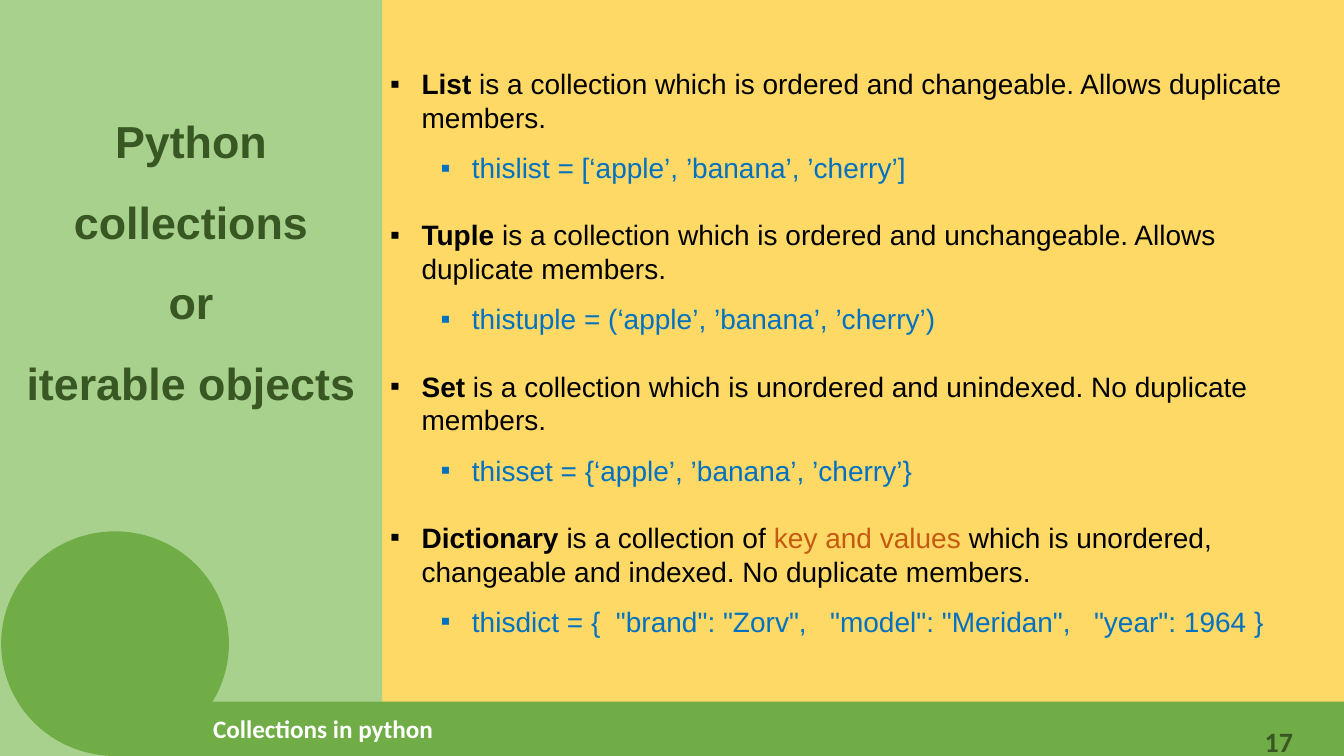
"""Build a slide that compares the four Python collection types."""
from lxml.etree import SubElement
from pptx import Presentation
from pptx.dml.color import RGBColor
from pptx.enum.shapes import MSO_SHAPE
from pptx.enum.text import MSO_ANCHOR, MSO_AUTO_SIZE, PP_ALIGN
from pptx.oxml.ns import qn
from pptx.util import Cm, Pt

HEADING = ["Python", "collections", "or", "iterable objects"]
COLLECTIONS = [
    ([("List", True, "000000"),
      (" is a collection which is ordered and changeable. Allows duplicate members.", False, "000000")],
     "thislist = [‘apple’, ’banana’, ’cherry’]"),
    ([("Tuple", True, "000000"),
      (" is a collection which is ordered and unchangeable. Allows duplicate members.", False, "000000")],
     "thistuple = (‘apple’, ’banana’, ’cherry’)"),
    ([("Set", True, "000000"),
      (" is a collection which is unordered and unindexed. No duplicate members.", False, "000000")],
     "thisset = {‘apple’, ’banana’, ’cherry’}"),
    ([("Dictionary", True, "000000"),
      (" is a collection of ", False, "000000"),
      ("key and values ", False, "C55A11"),
      ("which is unordered, changeable and indexed. No duplicate members.", False, "000000")],
     "thisdict = {  \"brand\": \"Zorv\",   \"model\": \"Meridan\",   \"year\": 1964 }"),
]
FOOTER = "Collections in python"
PAGE = "17"
YELLOW, LIGHT_GREEN, GREEN, DARK_GREEN = "FFD966", "A9D18E", "70AD47", "385723"
EXAMPLE_BLUE, WHITE = "0070C0", "FFFFFF"


def paint(fill, colour):
    fill.solid()
    fill.fore_color.rgb = RGBColor.from_string(colour)


def write(paragraph, text, size=20, font="Arial", colour="000000", bold=False):
    run = paragraph.add_run()
    run.text = text
    run.font.size = Pt(size)
    run.font.name = font
    run.font.bold = bold
    run.font.color.rgb = RGBColor.from_string(colour)


def place(part, left, top, width, height):
    part.left, part.top, part.width, part.height = Cm(left), Cm(top), Cm(width), Cm(height)


def add_block(slide, kind, left, top, width, height):
    block = slide.shapes.add_shape(kind, Cm(left), Cm(top), Cm(width), Cm(height))
    block.shadow.inherit = False
    paint(block.fill, GREEN)
    block.line.fill.background()
    return block


def next_paragraph(frame, index):
    return frame.add_paragraph() if index else frame.paragraphs[0]


def add_bullet(frame, index, level, space_before):
    paragraph = next_paragraph(frame, index)
    paragraph.level = level
    paragraph.line_spacing = Pt(24)
    paragraph.space_before = Pt(space_before)
    properties = paragraph._p.get_or_add_pPr()
    properties.set("marL", str(Cm(0.79 + 1.27 * level)))
    properties.set("indent", str(Cm(-0.79)))
    SubElement(properties, qn("a:buFont"), typeface="Arial")
    SubElement(properties, qn("a:buChar"), char="▪")
    return paragraph


def fill_heading(heading):
    place(heading, 0, 0, 9.63, 19.35)
    paint(heading.fill, LIGHT_GREEN)
    frame = heading.text_frame
    frame.auto_size = MSO_AUTO_SIZE.NONE
    frame.vertical_anchor = MSO_ANCHOR.TOP
    frame.margin_top = Cm(2.2)
    for index, line in enumerate(HEADING):
        paragraph = next_paragraph(frame, index)
        paragraph.alignment = PP_ALIGN.CENTER
        paragraph.line_spacing = Pt(57.5)
        write(paragraph, line, size=32, colour=DARK_GREEN, bold=True)


def fill_collections(body):
    place(body, 9.58, 1.07, 23.83, 15.62)
    frame = body.text_frame
    frame.auto_size = MSO_AUTO_SIZE.NONE
    frame.vertical_anchor = MSO_ANCHOR.MIDDLE
    for index, (definition, example) in enumerate(COLLECTIONS):
        paragraph = add_bullet(frame, index, 0, 24 if index else 0)
        for text, bold, colour in definition:
            write(paragraph, text, bold=bold, colour=colour)
        write(add_bullet(frame, index + 1, 1, 12), example, colour=EXAMPLE_BLUE)


def main():
    deck = Presentation()
    deck.slide_width, deck.slide_height = Cm(33.87), Cm(19.05)
    slide = deck.slides.add_slide(deck.slide_layouts[1])
    paint(slide.background.fill, YELLOW)
    fill_heading(slide.shapes.title)
    fill_collections(slide.placeholders[1])

    add_block(slide, MSO_SHAPE.FLOWCHART_SEQUENTIAL_ACCESS_STORAGE, 0.03, 13.39, 5.74, 5.66)
    footer = add_block(slide, MSO_SHAPE.RECTANGLE, 4.42, 17.68, 29.45, 1.37).text_frame
    footer.vertical_anchor = MSO_ANCHOR.MIDDLE
    footer.margin_left = Cm(0.95)
    footer.paragraphs[0].alignment = PP_ALIGN.LEFT
    write(footer.paragraphs[0], FOOTER, size=18, font="Calibri", colour=WHITE, bold=True)

    page = slide.shapes.add_textbox(Cm(31.62), Cm(18.16), Cm(1.78), Cm(1.02)).text_frame
    page.word_wrap = True
    page.vertical_anchor = MSO_ANCHOR.MIDDLE
    write(page.paragraphs[0], PAGE, font="Calibri", colour=DARK_GREEN, bold=True)
    deck.save("out.pptx")


if __name__ == "__main__":
    main()
